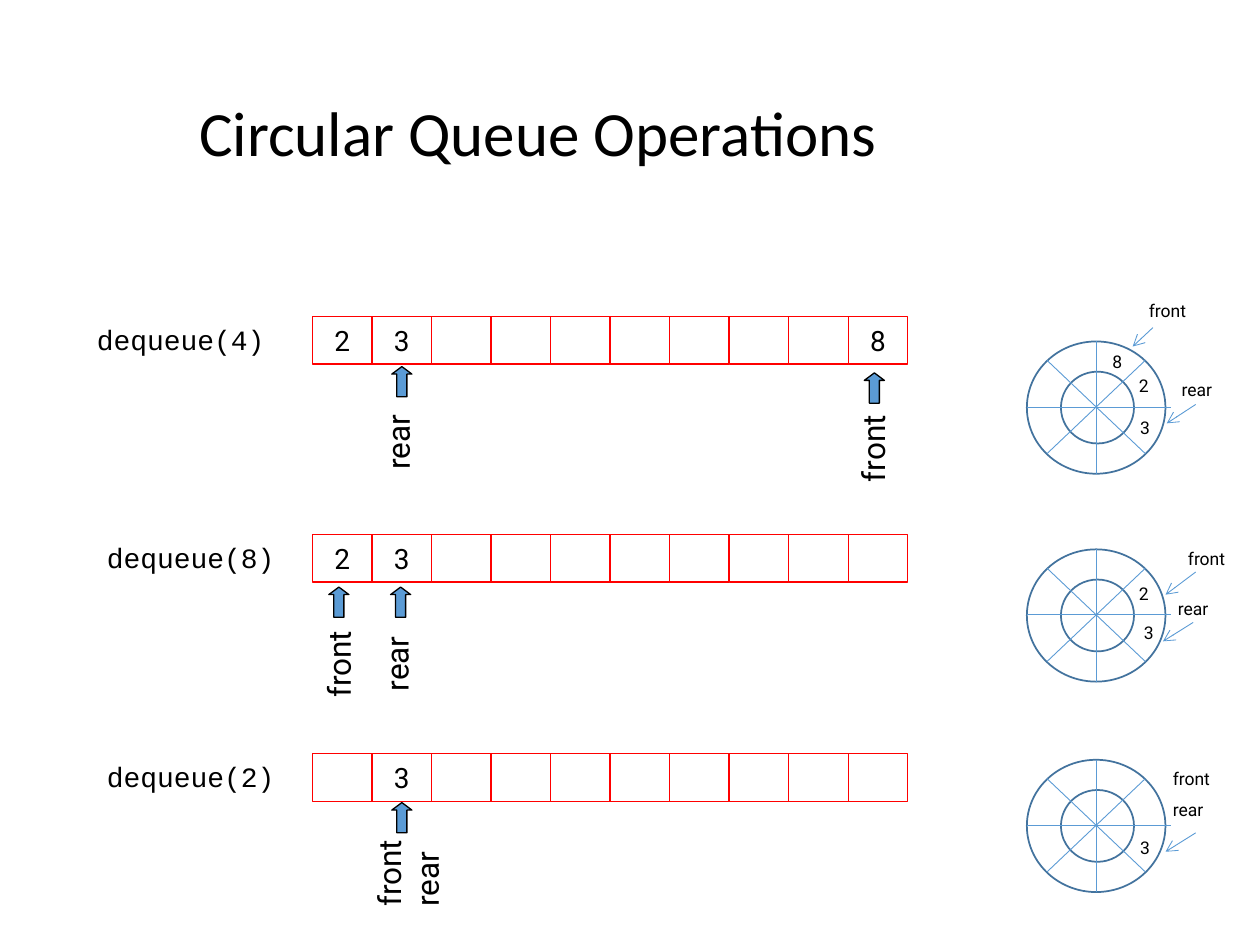
from lxml import etree
from pptx import Presentation
from pptx.dml.color import RGBColor
from pptx.enum.shapes import MSO_CONNECTOR, MSO_SHAPE
from pptx.enum.text import MSO_ANCHOR, PP_ALIGN
from pptx.oxml.ns import qn
from pptx.util import Inches, Pt

RECT, OVAL, UP = MSO_SHAPE.RECTANGLE, MSO_SHAPE.OVAL, MSO_SHAPE.UP_ARROW
LINE = MSO_CONNECTOR.STRAIGHT
TOP, MIDDLE = MSO_ANCHOR.TOP, MSO_ANCHOR.MIDDLE
LEFT, CENTER = PP_ALIGN.LEFT, PP_ALIGN.CENTER

BLACK = RGBColor(0x00, 0x00, 0x00)
WHITE = RGBColor(0xFF, 0xFF, 0xFF)
RED = RGBColor(0xFF, 0x00, 0x00)
BLUE = RGBColor(0x5B, 0x9B, 0xD5)
NAVY = RGBColor(0x43, 0x73, 0x9E)

SLOTS = 10
CELL_X, CELL_W, CELL_H = 2.48, 4.725 / SLOTS, 0.38
HUB_X = 8.7


def write(frame, text, font="Roboto", size=10, align=LEFT, anchor=TOP):
    frame.word_wrap = True
    frame.vertical_anchor = anchor
    para = frame.paragraphs[0]
    para.alignment = align
    run = para.add_run()
    run.text = text
    run.font.name = font
    run.font.size = Pt(size)
    run.font.color.rgb = BLACK
    return para


class Board:
    def __init__(self, slide):
        self.slide = slide
        self.shapes = slide.shapes

    def title(self, text, x, y, w, h):
        box = self.shapes.title
        box.left, box.top = Inches(x), Inches(y)
        box.width, box.height = Inches(w), Inches(h)
        para = write(box.text_frame, text, font="Calibri", size=36, anchor=MIDDLE)
        para.line_spacing = 0.9

    def shape(self, kind, x, y, w, h, line, fill=None, width=0.75):
        item = self.shapes.add_shape(kind, Inches(x), Inches(y), Inches(w), Inches(h))
        item.shadow.inherit = False
        if fill is None:
            item.fill.background()
        else:
            item.fill.solid()
            item.fill.fore_color.rgb = fill
        item.line.color.rgb = line
        item.line.width = Pt(width)
        return item

    def text(self, text, x, y, w, h, turn=0, **style):
        box = self.shapes.add_textbox(Inches(x), Inches(y), Inches(w), Inches(h))
        box.rotation = turn
        write(box.text_frame, text, **style)

    def line(self, x1, y1, x2, y2, head=False):
        item = self.shapes.add_connector(
            LINE, Inches(x1), Inches(y1), Inches(x2), Inches(y2))
        item.line.color.rgb = BLUE
        item.line.width = Pt(0.5)
        if head:
            etree.SubElement(item.line._get_or_add_ln(), qn("a:tailEnd"), type="arrow")
        etree.SubElement(item._element.spPr, qn("a:effectLst"))

    def queue(self, y, items):
        for i in range(SLOTS):
            cell = self.shape(RECT, CELL_X + i * CELL_W, y, CELL_W, CELL_H, RED)
            if i in items:
                write(cell.text_frame, items[i], size=16, align=CENTER, anchor=MIDDLE)

    def mark(self, x, y):
        arrow = self.shape(UP, x, y, 0.16, 0.24, BLACK, BLUE)
        arrow.adjustments[0] = 0.5
        arrow.adjustments[1] = 0.374

    def wheel(self, y):
        mid = y + 0.52
        self.shape(OVAL, HUB_X - 0.55, y, 1.1, 1.05, NAVY, WHITE, 1)
        self.shape(OVAL, HUB_X - 0.28, y + 0.24, 0.58, 0.57, NAVY, WHITE, 1)
        self.line(HUB_X, y, HUB_X, y + 1.05)
        self.line(HUB_X + 0.59, mid, HUB_X - 0.55, mid)
        for side in (-0.39, 0.39):
            self.line(HUB_X + side, mid - 0.37, HUB_X - side, mid + 0.37)


ROWS = [
    dict(call="dequeue(4)", x=0.67, y=2.51, items={0: "2", 1: "3", 9: "8"},
         marks=[(3.11, 2.91), (6.86, 2.96)],
         names=[("rear", 2.72, 3.19, 0.87, 0.4), ("front", 6.53, 3.33, 0.79, 0.4)],
         wheel=2.71,
         tags=[("8", 8.73, 2.74), ("2", 8.94, 2.93), ("3", 8.95, 3.26),
               ("front", 9.02, 2.33), ("rear", 9.28, 2.96)],
         heads=[(9.15, 2.6, 8.99, 2.75), (9.49, 3.21, 9.26, 3.36)]),
    dict(call="dequeue(8)", x=0.75, y=4.24, items={0: "2", 1: "3"},
         marks=[(3.1, 4.66), (2.61, 4.66)],
         names=[("rear", 2.71, 4.95, 0.87, 0.4), ("front", 2.29, 5.04, 0.79, 0.4)],
         wheel=4.36,
         tags=[("2", 8.94, 4.58), ("3", 8.98, 4.89),
               ("front", 9.33, 4.3), ("rear", 9.25, 4.7)],
         heads=[(9.49, 4.54, 9.25, 4.72), (9.47, 4.94, 9.23, 5.09)]),
    dict(call="dequeue(2)", x=0.75, y=5.98, items={1: "3"},
         marks=[(3.11, 6.37)],
         names=[("front rear", 2.8, 6.51, 0.87, 0.7)],
         wheel=6.03,
         tags=[("3", 8.95, 6.59), ("front", 9.21, 6.05), ("rear", 9.21, 6.29)],
         heads=[(9.49, 6.61, 9.25, 6.76)]),
]


def main():
    deck = Presentation()
    deck.slide_width, deck.slide_height = Inches(10), Inches(7.5)
    board = Board(deck.slides.add_slide(deck.slide_layouts[5]))
    board.title("Circular Queue Operations", 1.48, 0.28, 8.52, 1.6)
    for row in ROWS:
        board.text(row["call"], row["x"], row["y"], 1.65, 0.37,
                   font="Courier New", size=16)
        board.queue(row["y"], row["items"])
        for spot in row["marks"]:
            board.mark(*spot)
        for name in row["names"]:
            board.text(*name, turn=270, size=18)
        board.wheel(row["wheel"])
        for tag, x, y in row["tags"]:
            board.text(tag, x, y, 0.24 if tag.isdigit() else 0.55, 0.26)
        for ends in row["heads"]:
            board.line(*ends, head=True)
    deck.save("out.pptx")


if __name__ == "__main__":
    main()
